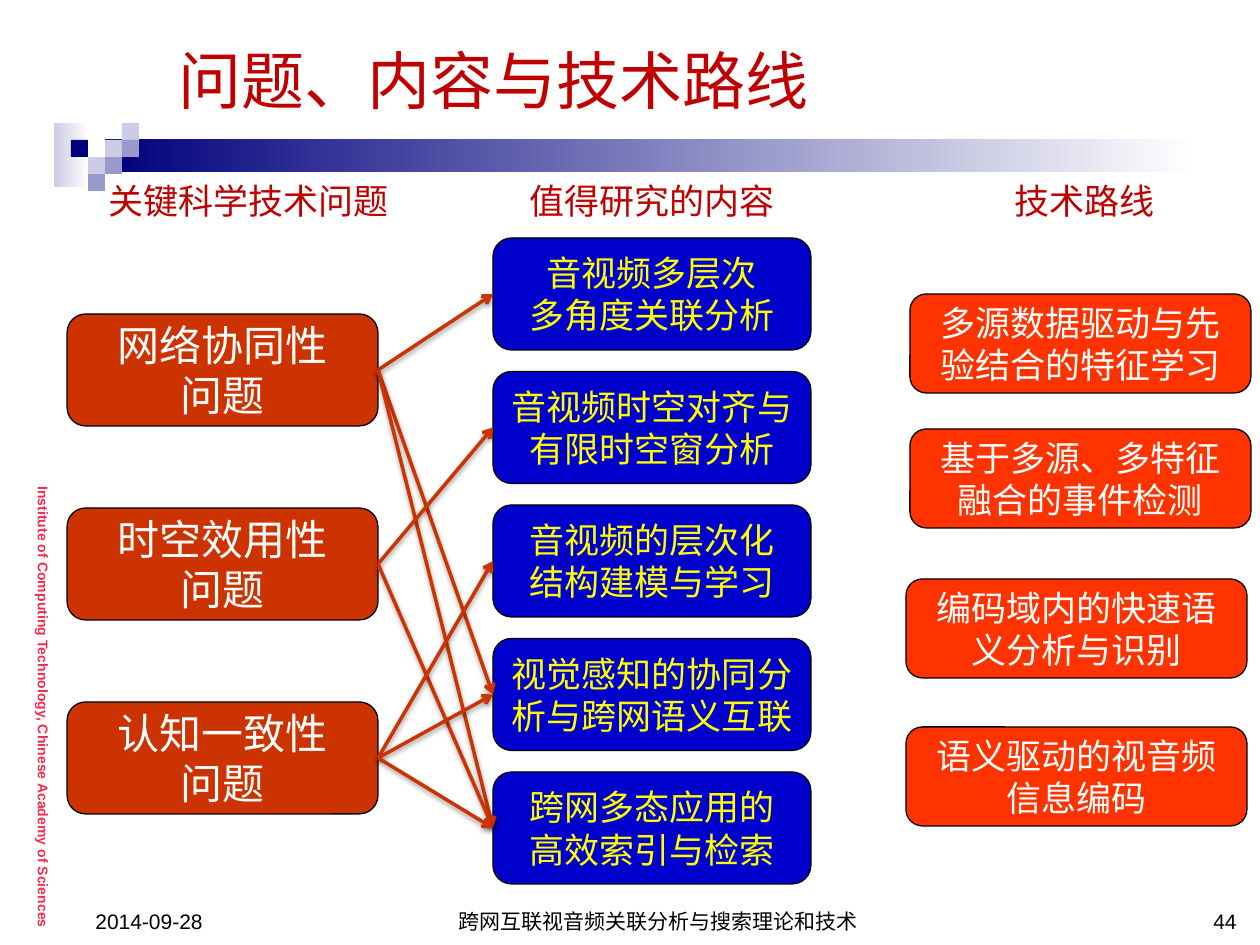
from lxml import etree
from pptx import Presentation
from pptx.dml.color import RGBColor
from pptx.enum.shapes import MSO_CONNECTOR, MSO_SHAPE
from pptx.enum.text import MSO_ANCHOR, PP_ALIGN
from pptx.oxml import parse_xml
from pptx.oxml.ns import qn
from pptx.util import Pt

RECT, ROUNDED = MSO_SHAPE.RECTANGLE, MSO_SHAPE.ROUNDED_RECTANGLE
STRAIGHT = MSO_CONNECTOR.STRAIGHT
TOP, MIDDLE, BOTTOM = MSO_ANCHOR.TOP, MSO_ANCHOR.MIDDLE, MSO_ANCHOR.BOTTOM
LEFT, CENTER, RIGHT = PP_ALIGN.LEFT, PP_ALIGN.CENTER, PP_ALIGN.RIGHT
LEFT_SIDE, RIGHT_SIDE = 1, 3

EMU_PER_PX = 914400 / 126
CJK = "Noto Sans CJK SC"
COLORS = {
    "heading": "C00000", "problem": "CC3300", "topic": "0000CC",
    "route": "FF3300", "yellow": "FFFF00", "white": "FFFFFF",
    "black": "000000", "pink": "F62A4C", "navy": "00007D",
    "lavender": "CCCCE6", "periwinkle": "9999CC",
}
SHADOW = (
    '<a:effectLst xmlns:a="http://schemas.openxmlformats.org/drawingml/2006/main">'
    '<a:outerShdw blurRad="38100" dist="20320" dir="5400000" rotWithShape="0">'
    '<a:srgbClr val="000000"><a:alpha val="38000"/></a:srgbClr>'
    '</a:outerShdw></a:effectLst>'
)


def px(*lengths):
    return [round(length * EMU_PER_PX) for length in lengths]


def rgb(name):
    return RGBColor.from_string(COLORS[name])


class SlideBuilder:
    def __init__(self, slide):
        self.slide = slide

    def fill_text(self, frame, text, size, color, font=CJK, align=LEFT,
                  anchor=TOP, bold=False):
        frame.text = text
        frame.vertical_anchor = anchor
        for paragraph in frame.paragraphs:
            paragraph.alignment = align
            for run in paragraph.runs:
                run.font.size = Pt(size)
                run.font.bold = bold
                run.font.color.rgb = rgb(color)
                run.font.name = font
                etree.SubElement(run.font._element, qn("a:ea"), typeface=CJK)

    def label(self, box, text, size, color, wrap=True, vertical=False, **style):
        frame = self.slide.shapes.add_textbox(*px(*box)).text_frame
        frame.word_wrap = wrap
        if vertical:
            frame._txBody.bodyPr.set("vert", "eaVert")
        self.fill_text(frame, text, size, color, **style)

    def block(self, box, fill, fade=False):
        block = self.slide.shapes.add_shape(RECT, *px(*box))
        block.shadow.inherit = False
        block.line.fill.background()
        if fade:
            block.fill.gradient()
            block.fill.gradient_angle = 0
            for stop, color in zip(block.fill.gradient_stops, (fill, "white")):
                stop.color.rgb = rgb(color)
        else:
            block.fill.solid()
            block.fill.fore_color.rgb = rgb(fill)

    def card(self, box, text, size, fill, color):
        card = self.slide.shapes.add_shape(ROUNDED, *px(*box))
        card.shadow.inherit = False
        card.fill.solid()
        card.fill.fore_color.rgb = rgb(fill)
        card.line.color.rgb = rgb("black")
        card.line.width = Pt(0.75)
        card.text_frame.word_wrap = True
        self.fill_text(card.text_frame, text, size, color, align=CENTER, anchor=MIDDLE)
        return card

    def arrow(self, source, target):
        arrow = self.slide.shapes.add_connector(STRAIGHT, 0, 0, 0, 0)
        arrow.begin_connect(source, RIGHT_SIDE)
        arrow.end_connect(target, LEFT_SIDE)
        arrow.line.color.rgb = rgb("problem")
        arrow.line.width = Pt(2)
        etree.SubElement(arrow.line._get_or_add_ln(), qn("a:tailEnd"), type="arrow")
        arrow._element.spPr.append(parse_xml(SHADOW))


def main():
    deck = Presentation()
    deck.slide_width, deck.slide_height = px(1260, 945)
    page = SlideBuilder(deck.slides.add_slide(deck.slide_layouts[6]))

    page.block((54, 123, 35, 64), "lavender", fade=True)
    page.block((105, 139, 1090, 33), "navy", fade=True)
    tile = 17
    mosaic = [
        (2, 1, "lavender"), (3, 0, "lavender"), (3, 1, "periwinkle"),
        (1, 2, "lavender"), (0, 1, "navy"), (2, 2, "periwinkle"),
        (1, 3, "periwinkle"),
    ]
    for column, row, color in mosaic:
        page.block((71 + column * tile, 123 + row * tile, tile, tile), color)

    page.label((15, 474, 43, 474),
               "Institute of Computing Technology, Chinese Academy of Sciences",
               8, "pink", vertical=True, font="Arial", bold=True)
    page.label((166, 34, 1084, 91), "问题、内容与技术路线", 36, "heading",
               font="Lato", anchor=MIDDLE)

    headings = [(96, 309, "关键科学技术问题"), (517, 273, "值得研究的内容"),
                (1002, 166, "技术路线")]
    for left, width, heading in headings:
        page.label((left, 173, width, 55), heading, 20, "heading", wrap=False)

    problem_names = ["网络协同性\v问题", "时空效用性\v问题", "认知一致性\v问题"]
    problems = [page.card((67, 314 + 194 * i, 311, 112), name, 24, "problem", "white")
                for i, name in enumerate(problem_names)]

    topic_names = ["音视频多层次\v多角度关联分析", "音视频时空对齐与有限时空窗分析",
                   "音视频的层次化\v结构建模与学习", "视觉感知的协同分析与跨网语义互联",
                   "跨网多态应用的\v高效索引与检索"]
    topics = [page.card((493, 238 + 133.5 * i, 318, 112), name, 20, "topic", "yellow")
              for i, name in enumerate(topic_names)]

    routes = [(910, 294, "多源数据驱动与先验结合的特征学习"),
              (910, 429, "基于多源、多特征融合的事件检测"),
              (906, 579, "编码域内的快速语义分析与识别"),
              (906, 727, "语义驱动的视音频信息编码")]
    for left, top, route in routes:
        page.card((left, top, 341, 99), route, 20, "route", "white")

    topics_by_problem = [(0, 3, 4), (1, 4), (2, 3, 4)]
    for problem, linked in zip(problems, topics_by_problem):
        for index in linked:
            page.arrow(problem, topics[index])

    footers = [(83, 294, "2014-09-28", LEFT),
               (427, 462, "跨网互联视音频关联分析与搜索理论和技术", CENTER),
               (955, 294, "44", RIGHT)]
    for left, width, footer, align in footers:
        page.label((left, 910, width, 30), footer, 12, "black",
                   font="Arial", align=align, anchor=BOTTOM)

    deck.save("out.pptx")


if __name__ == "__main__":
    main()
